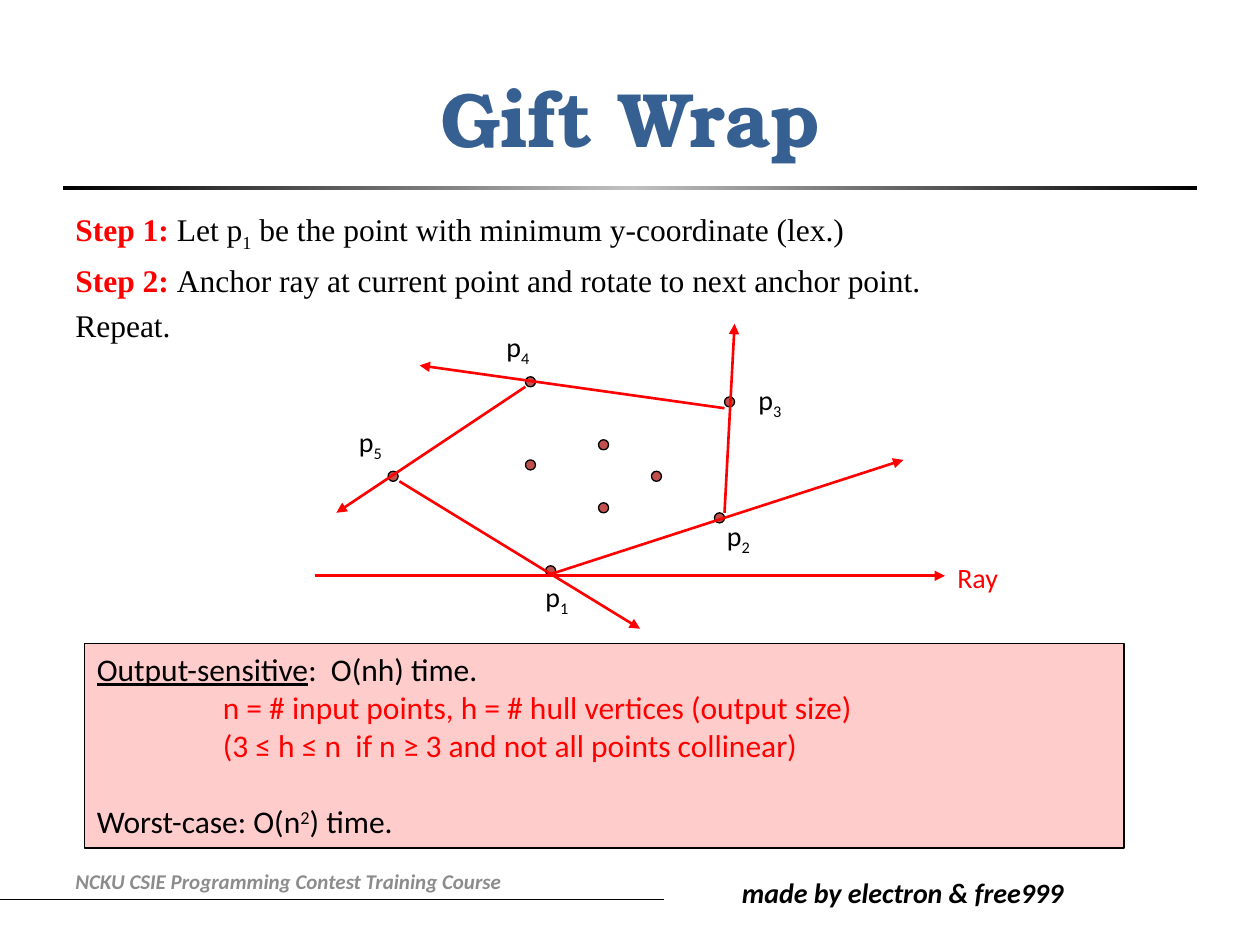
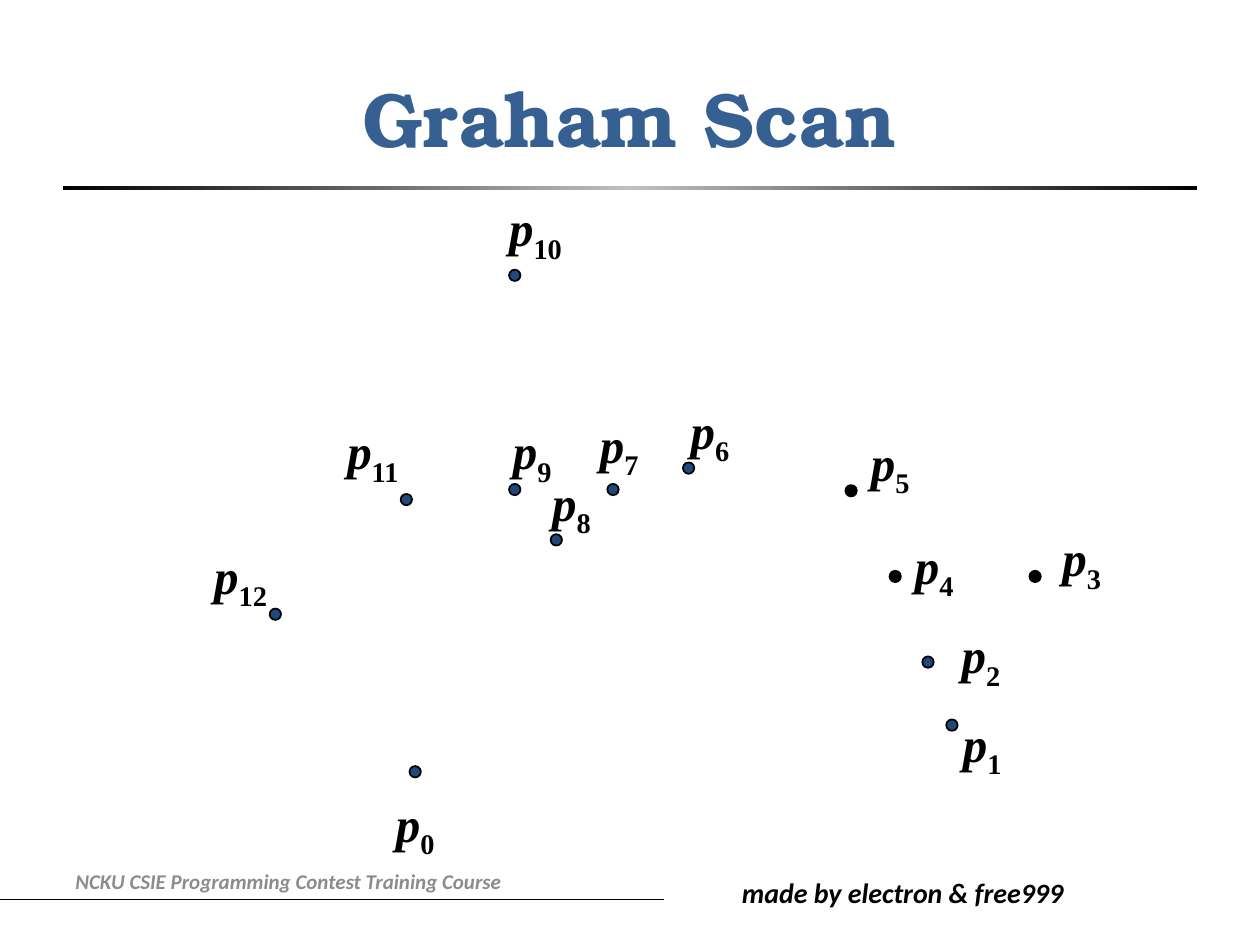
"""Build two convex hull slides: Gift Wrap and Graham Scan."""
from copy import deepcopy
from dataclasses import dataclass, replace
from typing import NamedTuple

from lxml import etree
from pptx import Presentation
from pptx import util as u
from pptx.dml.color import RGBColor
from pptx.enum import shapes, text
from pptx.oxml.ns import qn

COLUMNS, ROWS = 10, 7.5
CELL = u.Inches(1)
MARGIN, CONTENT = 0.5, COLUMNS - 1
PAD = (0.1, 0.05)
BLACK, RED, SILVER = "000000", "FF0000", "C0C0C0"
BLUE, GREY, PINK = "376092", "8C8C8C", "FFCCCC"
BRICK, NAVY = "C0504D", "1F497D"
FIT = text.MSO_AUTO_SIZE.SHAPE_TO_FIT_TEXT
CENTER = text.PP_ALIGN.CENTER


@dataclass(frozen=True)
class Ink:
    font: str
    size: float
    color: str = BLACK
    bold: bool = False
    italic: bool = False
    underline: bool = False
    baseline: int = 0


class Run(NamedTuple):
    words: str
    ink: Ink


@dataclass(frozen=True)
class Line:
    runs: tuple
    indent: float = 0
    hang: float = 0
    before: float = 0
    align: object = text.PP_ALIGN.LEFT


class Area(NamedTuple):
    left: float
    top: float
    width: float
    height: float


class Spot(NamedTuple):
    left: float
    top: float


class Ray(NamedTuple):
    start: Spot
    end: Spot


class Vertex(NamedTuple):
    index: int
    dot: Spot
    label: Spot
    fill: str = NAVY
    padded: bool = False


TITLE = Ink("TeX Gyre Bonum", 44, BLUE, bold=True)
COURSE = Ink("Calibri", 12, GREY, bold=True, italic=True)
CREDIT = Ink("Calibri", 16, bold=True, italic=True)
STEP = Ink("Times New Roman", 18)
STEP_HEAD = replace(STEP, color=RED, bold=True)
HULL_LABEL = Ink("Calibri", 16)
SCAN_LABEL = Ink("Times New Roman", 28, bold=True, italic=True)
COST = Ink("Calibri", 18)
COST_NOTE = replace(COST, color=RED)

HULL_DOTS = (
    Spot(4.33, 4.49), Spot(5.67, 4.07), Spot(5.75, 3.15), Spot(4.17, 2.99), Spot(3.08, 3.74),
    Spot(4.17, 3.65), Spot(5.17, 3.74), Spot(4.75, 3.99), Spot(4.75, 3.49),
)
HULL_LABELS = (Spot(4.23, 4.55), Spot(5.67, 4.07), Spot(5.92, 2.99), Spot(3.92, 2.57), Spot(2.75, 3.32))
RAYS = (
    Ray(Spot(2.5, 4.57), Spot(7.5, 4.57)),
    Ray(Spot(4.33, 4.57), Spot(7.17, 3.65)),
    Ray(Spot(5.75, 4.07), Spot(5.83, 2.57)),
    Ray(Spot(5.75, 3.24), Spot(3.33, 2.9)),
    Ray(Spot(4.17, 3.07), Spot(2.67, 4.07)),
    Ray(Spot(3.17, 3.82), Spot(5.08, 4.99)),
)
SCAN = (
    Vertex(0, Spot(3.25, 6.08), Spot(3.03, 6.25), padded=True),
    Vertex(1, Spot(7.51, 5.71), Spot(7.53, 5.61), padded=True),
    Vertex(2, Spot(7.32, 5.21), Spot(7.52, 4.91), padded=True),
    Vertex(3, Spot(8.17, 4.53), Spot(8.42, 4.19), BLACK),
    Vertex(4, Spot(7.06, 4.53), Spot(7.15, 4.2), BLACK, padded=True),
    Vertex(5, Spot(6.71, 3.85), Spot(6.9, 3.43), BLACK),
    Vertex(6, Spot(5.42, 3.67), Spot(5.47, 3.18)),
    Vertex(7, Spot(4.82, 3.84), Spot(4.75, 3.29)),
    Vertex(8, Spot(4.37, 4.24), Spot(4.37, 3.75)),
    Vertex(9, Spot(4.04, 3.84), Spot(4.06, 3.34)),
    Vertex(10, Spot(4.04, 2.14), Spot(4.02, 1.57)),
    Vertex(11, Spot(3.18, 3.92), Spot(2.73, 3.34)),
    Vertex(12, Spot(2.14, 4.83), Spot(1.68, 4.33)),
)


def cells(*counts: float) -> list:
    return [u.Emu(round(count * CELL)) for count in counts]


def rgb(color: str) -> RGBColor:
    return RGBColor.from_string(color)


def write(frame, lines: tuple, pad: tuple = PAD, anchor=text.MSO_ANCHOR.TOP, wrap: bool = True) -> None:
    frame.word_wrap = wrap
    frame.vertical_anchor = anchor
    frame.margin_left = frame.margin_right = cells(pad[0])[0]
    frame.margin_top = frame.margin_bottom = cells(pad[1])[0]
    for number, line in enumerate(lines):
        paragraph = frame.add_paragraph() if number else frame.paragraphs[0]
        paragraph.alignment = line.align
        paragraph.space_before = u.Pt(line.before)
        margin, hang = cells(line.indent, -line.hang)
        properties = paragraph._p.get_or_add_pPr()
        properties.set("marL", str(margin))
        properties.set("indent", str(hang))
        for words, ink in line.runs:
            run = paragraph.add_run()
            run.text = words
            font = run.font
            font.name, font.size = ink.font, u.Pt(ink.size)
            font.bold, font.italic, font.underline = ink.bold, ink.italic, ink.underline
            font.color.rgb = rgb(ink.color)
            if ink.baseline:
                run._r.get_or_add_rPr().set("baseline", str(ink.baseline * 1000))


def add_words(slide, area: Area, *lines: Line, **layout):
    box = slide.shapes.add_textbox(*cells(*area))
    write(box.text_frame, lines, **layout)
    return box


def add_block(slide, kind, area: Area, fill: str, weight: float):
    block = slide.shapes.add_shape(kind, *cells(*area))
    block.shadow.inherit = False
    block.fill.solid()
    block.fill.fore_color.rgb = rgb(fill)
    block.line.color.rgb = rgb(BLACK)
    block.line.width = u.Pt(weight)
    return block


def add_dot(slide, spot: Spot, size: float, fill: str, weight: float) -> None:
    add_block(slide, shapes.MSO_SHAPE.OVAL, Area(*spot, size, size), fill, weight)


def add_stroke(slide, ray: Ray, color: str, weight: float, arrow: bool = False) -> None:
    stroke = slide.shapes.add_connector(shapes.MSO_CONNECTOR.STRAIGHT, *cells(*ray.start, *ray.end))
    stroke.line.color.rgb = rgb(color)
    stroke.line.width = u.Pt(weight)
    properties = stroke._element.spPr
    if arrow:
        etree.SubElement(properties.find(qn("a:ln")), qn("a:tailEnd"), type="triangle")
    etree.SubElement(properties, qn("a:effectLst"))


def add_label(slide, area: Area, *runs: Run, align=text.PP_ALIGN.LEFT, pad: tuple = PAD) -> None:
    label = add_words(slide, area, Line(runs, align=align), pad=pad, wrap=False)
    label.text_frame.auto_size = FIT


def point_name(index: int, ink: Ink) -> tuple:
    return Run("p", ink), Run(str(index), replace(ink, italic=False, baseline=-25))


def add_title_rule(slide) -> None:
    rule = slide.shapes.add_shape(shapes.MSO_SHAPE.RECTANGLE, *cells(MARGIN, 1.48, CONTENT, 0.03))
    rule.shadow.inherit = False
    rule.line.fill.background()
    rule.fill.gradient()
    rule.fill.gradient_angle = 0
    for stop in rule.fill.gradient_stops:
        stop.color.rgb = rgb(BLACK)
    stops = rule._element.spPr.find(".//" + qn("a:gsLst"))
    stops.insert(1, deepcopy(stops[0]))
    middle = rule.fill.gradient_stops[1]
    middle.position = 0.5
    middle.color.rgb = rgb(SILVER)


def start_slide(deck, title: str):
    slide = deck.slides.add_slide(deck.slide_layouts[6])
    middle = text.MSO_ANCHOR.MIDDLE
    add_stroke(slide, Ray(Spot(0, 7.14), Spot(5.27, 7.14)), BLACK, 0.5)
    add_words(slide, Area(5.79, 6.9, 3.04, 0.37), Line((Run("made by electron & free999", CREDIT),)))
    add_title_rule(slide)
    add_words(slide, Area(MARGIN, 0.3, CONTENT, 1.25),
              Line((Run(title, TITLE),), align=CENTER), anchor=middle)
    add_words(slide, Area(MARGIN, 6.79, 4.66, 0.4),
              Line((Run("NCKU CSIE Programming Contest Training Course", COURSE),)), anchor=middle)
    return slide


def build_gift_wrap(deck) -> None:
    slide = start_slide(deck, "Gift Wrap")
    steps = (
        (Run("Step 1: ", STEP_HEAD), Run("Let p", STEP), Run("1", replace(STEP, baseline=-25)),
         Run(" be the point with minimum y-coordinate (lex.)", STEP)),
        (Run("Step 2: ", STEP_HEAD),
         Run("Anchor ray at current point and rotate to next anchor point.", STEP)),
        (Run("Repeat.", STEP),),
    )
    add_words(slide, Area(MARGIN, 1.62, 9.22, 4.95),
              *(Line(runs, indent=0.38, hang=0.38, before=4.3) for runs in steps))
    for dot in HULL_DOTS:
        add_dot(slide, dot, 0.08, BRICK, 0.75)
    for ray in RAYS:
        add_stroke(slide, ray, RED, 1.5, arrow=True)
    for index, spot in enumerate(HULL_LABELS, 1):
        add_label(slide, Area(*spot, 0.39, 0.37), *point_name(index, HULL_LABEL))
    add_label(slide, Area(7.5, 4.4, 0.56, 0.37), Run("Ray", replace(HULL_LABEL, color=RED)))
    cost = add_block(slide, shapes.MSO_SHAPE.RECTANGLE, Area(0.67, 5.11, 8.25, 1.62), PINK, 0.75)
    write(cost.text_frame, (
        Line((Run("Output-sensitive", replace(COST, underline=True)), Run(":  O(nh) time.", COST))),
        Line((Run("n = # input points, h = # hull vertices (output size)", COST_NOTE),), indent=1),
        Line((Run("(3 ≤ h ≤ n  if n ≥ 3 and not all points collinear)", COST_NOTE),), indent=1),
        Line((Run("Worst-case: O(n", COST), Run("2", replace(COST, baseline=30)),
              Run(") time.", COST)), before=22),
    ))


def build_graham_scan(deck) -> None:
    slide = start_slide(deck, "Graham Scan")
    for vertex in SCAN:
        add_dot(slide, vertex.dot, 0.09, vertex.fill, 1)
        pad = PAD if vertex.padded else (0, 0)
        width = (0.33 if vertex.index < 10 else 0.46) + 2 * pad[0]
        add_label(slide, Area(*vertex.label, width, 0.47 + 2 * pad[1]),
                  *point_name(vertex.index, SCAN_LABEL), align=CENTER, pad=pad)


def main() -> None:
    deck = Presentation()
    deck.slide_width, deck.slide_height = cells(COLUMNS, ROWS)
    build_gift_wrap(deck)
    build_graham_scan(deck)
    deck.save("out.pptx")


if __name__ == "__main__":
    main()
